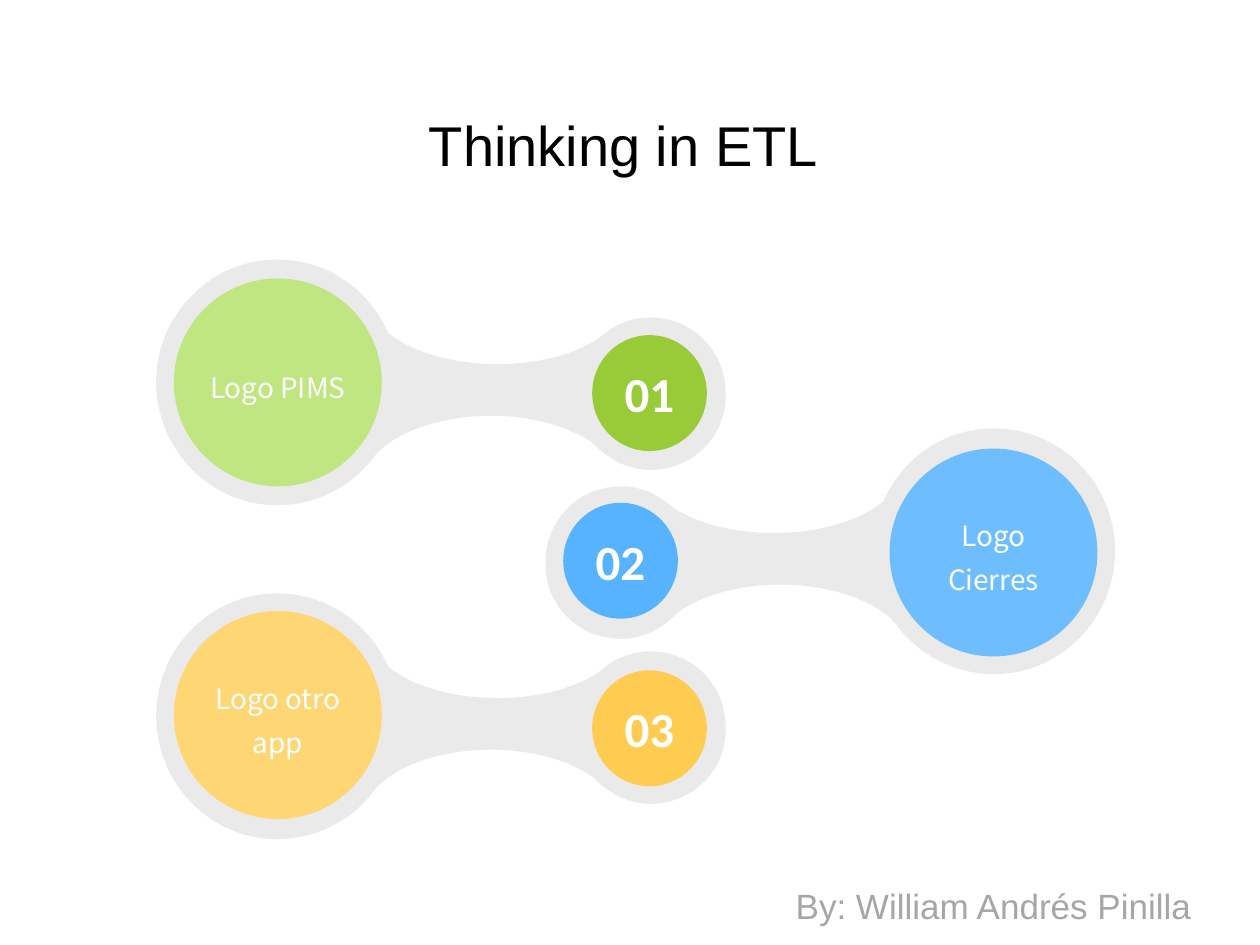
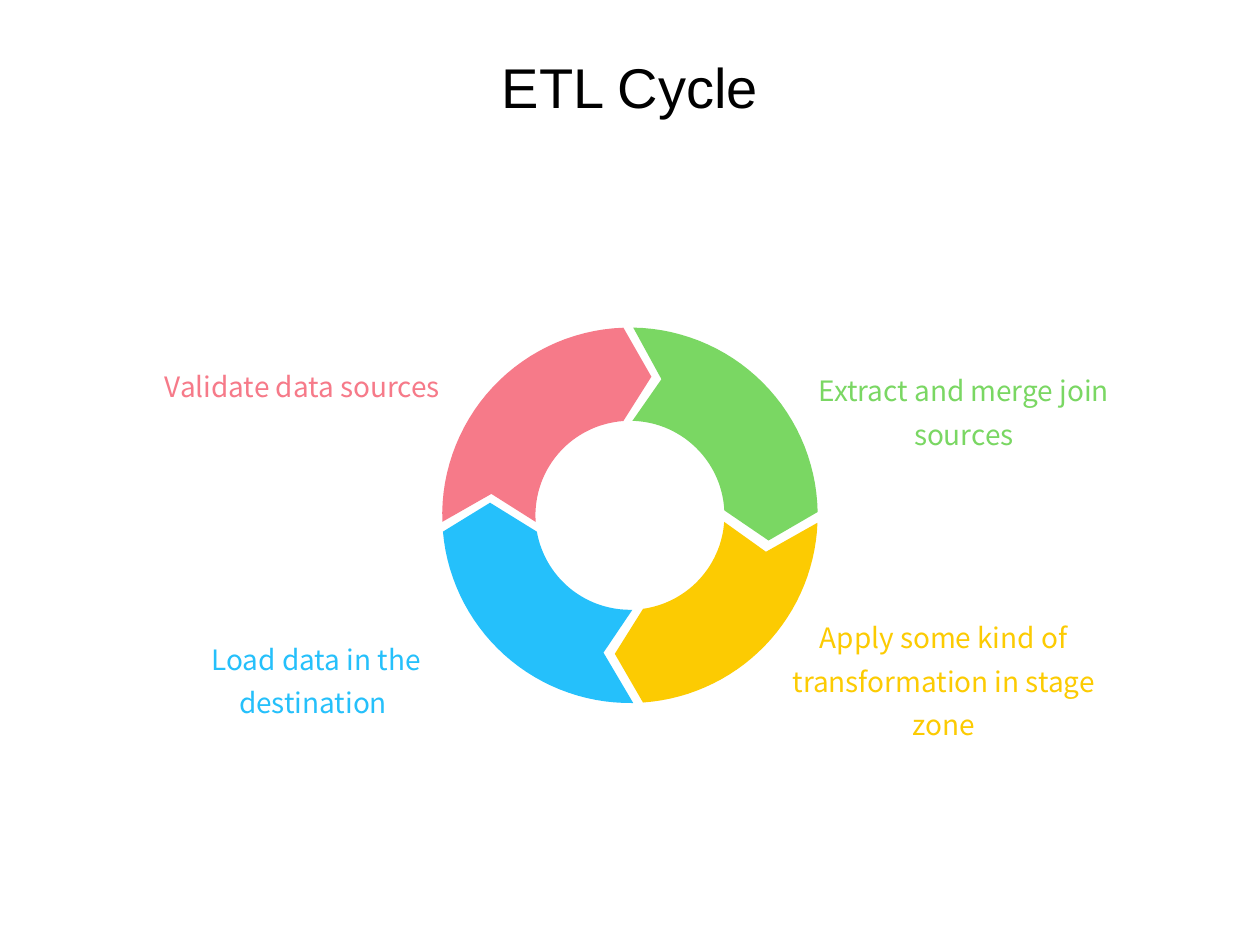
"""Build two slides on ETL: the linked applications and the four-step cycle."""
from itertools import chain
from math import cos, radians, sin

from lxml import etree
from pptx import Presentation
from pptx import util as u
from pptx.dml.color import RGBColor
from pptx.enum import shapes, text
from pptx.oxml import ns

COLORS = {
    "black": "000000", "white": "FFFFFF", "byline": "A6A6A6", "link": "EAEAEA",
    "pale green": "C0E682", "green": "99CB38",
    "pale blue": "6DBDFF", "blue": "57B3FF",
    "pale amber": "FED674", "amber": "FECC50",
    "extract": "7AD763", "apply": "FCCB02", "load": "25C0FB", "validate": "F67A89",
}
TITLE = {"size": u.Pt(32), "name": "Arial", "bold": False}
BYLINE = {"size": u.Pt(20), "name": "Arial"}
LABEL = {"size": u.Pt(16), "name": "Noto Sans CJK SC"}
NUMBER = {"size": u.Pt(28), "name": "Calibri", "bold": True}


def write(box, words, style, color, spacing=1.0, margin=0.1):
    frame = box.text_frame
    settings = {"word_wrap": True, "auto_size": text.MSO_AUTO_SIZE.NONE,
                "vertical_anchor": text.MSO_ANCHOR.MIDDLE,
                "margin_left": u.Inches(margin), "margin_right": u.Inches(margin),
                "margin_top": u.Inches(margin / 2), "margin_bottom": u.Inches(margin / 2)}
    for key, value in settings.items():
        setattr(frame, key, value)
    para = frame.paragraphs[0]
    para.alignment = text.PP_ALIGN.CENTER
    para.line_spacing = spacing
    span = para.add_run()
    span.text = words
    for key, value in style.items():
        setattr(span.font, key, value)
    span.font.color.rgb = RGBColor.from_string(COLORS[color])


def paint(shape, color):
    shape.shadow.inherit = False
    shape.fill.solid()
    shape.fill.fore_color.rgb = RGBColor.from_string(COLORS[color])
    shape.line.fill.background()


deck = Presentation()
deck.slide_width, deck.slide_height = u.Inches(10), u.Inches(7.5)
pages = []
for words, left, top in [("Thinking in ETL", 0.45, 1.02), ("ETL Cycle", 0.5, 0.3)]:
    page = deck.slides.add_slide(deck.slide_layouts[5])
    title = page.shapes.title
    title.left, title.top = u.Inches(left), u.Inches(top)
    title.width, title.height = u.Inches(9), u.Inches(0.77)
    write(title, words, TITLE, "black")
    pages.append(page)
apps, cycle = pages
apps.shapes.title.text_frame.margin_bottom = u.Inches(0.58)

LINK_START = (2.2, 2.06)
LINK_CURVES = [
    ((2.6, 2.06), (2.93, 2.3), (3.08, 2.64)),
    ((3.26, 2.79), (3.58, 2.89), (3.95, 2.89)),
    ((4.28, 2.89), (4.57, 2.81), (4.76, 2.68)),
    ((4.87, 2.58), (5.01, 2.52), (5.16, 2.52)),
    ((5.5, 2.52), (5.76, 2.79), (5.76, 3.12)),
    ((5.77, 3.46), (5.5, 3.73), (5.16, 3.73)),
    ((5.04, 3.73), (4.93, 3.69), (4.84, 3.63)),
    ((4.78, 3.59), (4.75, 3.56), (4.71, 3.52)),
    ((4.53, 3.39), (4.23, 3.3), (3.9, 3.3)),
    ((3.49, 3.3), (3.14, 3.43), (2.98, 3.61)),
    ((2.81, 3.85), (2.52, 4.01), (2.2, 4.01)),
    ((1.67, 4.01), (1.24, 3.57), (1.24, 3.03)),
    ((1.24, 2.5), (1.67, 2.06), (2.2, 2.06)),
]
link_points = [LINK_START, *chain.from_iterable(LINK_CURVES)]

MIRROR = 10.09
LOGO_SIZE, NUMBER_WIDTH, NUMBER_HEIGHT = 1.65, 0.91, 0.92
app_rows = [
    ("Logo PIMS", "01", "green", 0, False, 1.38, 2.21, 4.7, 2.66),
    ("Logo Cierres", "02", "blue", 1.34, True, 7.06, 3.56, 4.47, 3.99),
    ("Logo otro app", "03", "amber", 2.65, False, 1.38, 4.85, 4.7, 5.32),
]
for name, number, color, drop, mirrored, logo_x, logo_y, number_x, number_y in app_rows:
    outline = [(u.Inches(MIRROR - x if mirrored else x), u.Inches(y + drop))
               for x, y in link_points]
    builder = apps.shapes.build_freeform(*outline[0])
    builder.add_line_segments(outline[1:], close=True)
    link = builder.convert_to_shape()
    lines = list(link.element.iter(ns.qn("a:lnTo")))
    for index in range(0, len(LINK_CURVES) * 3, 3):
        curve = etree.Element(ns.qn("a:cubicBezTo"))
        lines[index].addprevious(curve)
        for line in lines[index:index + 3]:
            curve.append(line[0])
            line.getparent().remove(line)
    paint(link, "link")
    for words, style, fill, spacing, left, top, width, height in [
        (name, LABEL, "pale " + color, 1.3, logo_x, logo_y, LOGO_SIZE, LOGO_SIZE),
        (number, NUMBER, color, 1.0, number_x, number_y, NUMBER_WIDTH, NUMBER_HEIGHT),
    ]:
        circle = apps.shapes.add_shape(
            shapes.MSO_SHAPE.OVAL, *map(u.Inches, (left, top, width, height)))
        paint(circle, fill)
        write(circle, words, style, "white", spacing, margin=0)

byline = apps.shapes.add_textbox(*map(u.Inches, (5.28, 6.91, 5.21, 0.56)))
write(byline, "By: William Andrés Pinilla", BYLINE, "byline")

CENTER_X, CENTER_Y, OUTER, INNER = 5, 4.09, 1.49, 0.75
ring_steps = [
    ("extract", (1, 89), (6.1, 4.29), (87, 1.5), (5.25, 3.01),
     "Extract and merge join sources", 6.17, 2.77),
    ("validate", (268, 358), (5.17, 2.99), (356, 266), (3.9, 3.92),
     "Validate data sources", 0.92, 2.56),
    ("load", (179, 265), (3.89, 3.99), (260, 178.5), (4.79, 5.18),
     "Load data in the destination ", 1.03, 4.9),
    ("apply", (92.3, 176), (4.88, 5.19), (172, 94), (6.08, 4.38),
     "Apply some kind of transformation in stage zone", 6.01, 4.9),
]
ARC_STEPS = 30
for color, outer_arc, tip, inner_arc, notch, words, left, top in ring_steps:
    points = []
    for radius, (begin, end), corner in [(OUTER, outer_arc, tip), (INNER, inner_arc, notch)]:
        for step in range(ARC_STEPS + 1):
            angle = radians(begin + (end - begin) * step / ARC_STEPS)
            points.append((CENTER_X + radius * sin(angle), CENTER_Y - radius * cos(angle)))
        points.append(corner)
    outline = [(u.Inches(x), u.Inches(y)) for x, y in points]
    builder = cycle.shapes.build_freeform(*outline[0])
    builder.add_line_segments(outline[1:], close=True)
    paint(builder.convert_to_shape(), color)
    label = cycle.shapes.add_textbox(*map(u.Inches, (left, top, 2.96, 0.93)))
    write(label, words, LABEL, color, spacing=1.3)

deck.save("out.pptx")
